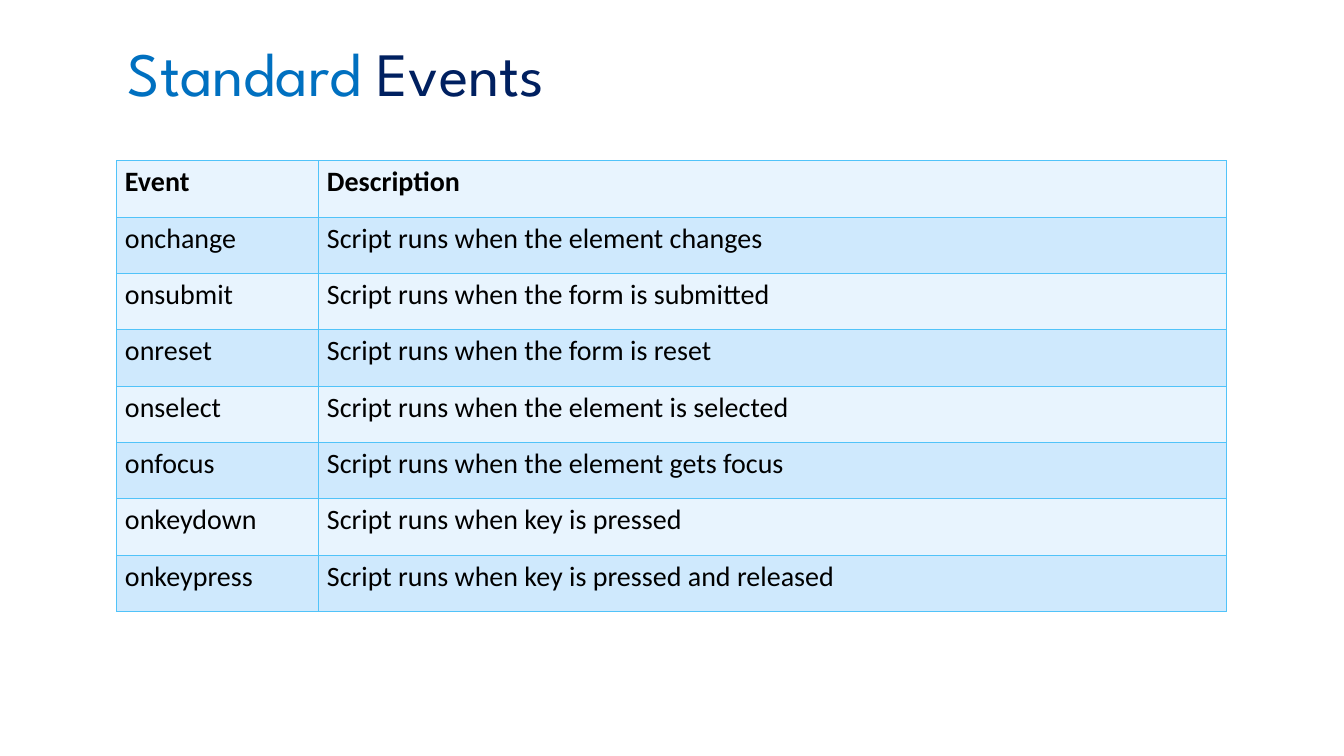
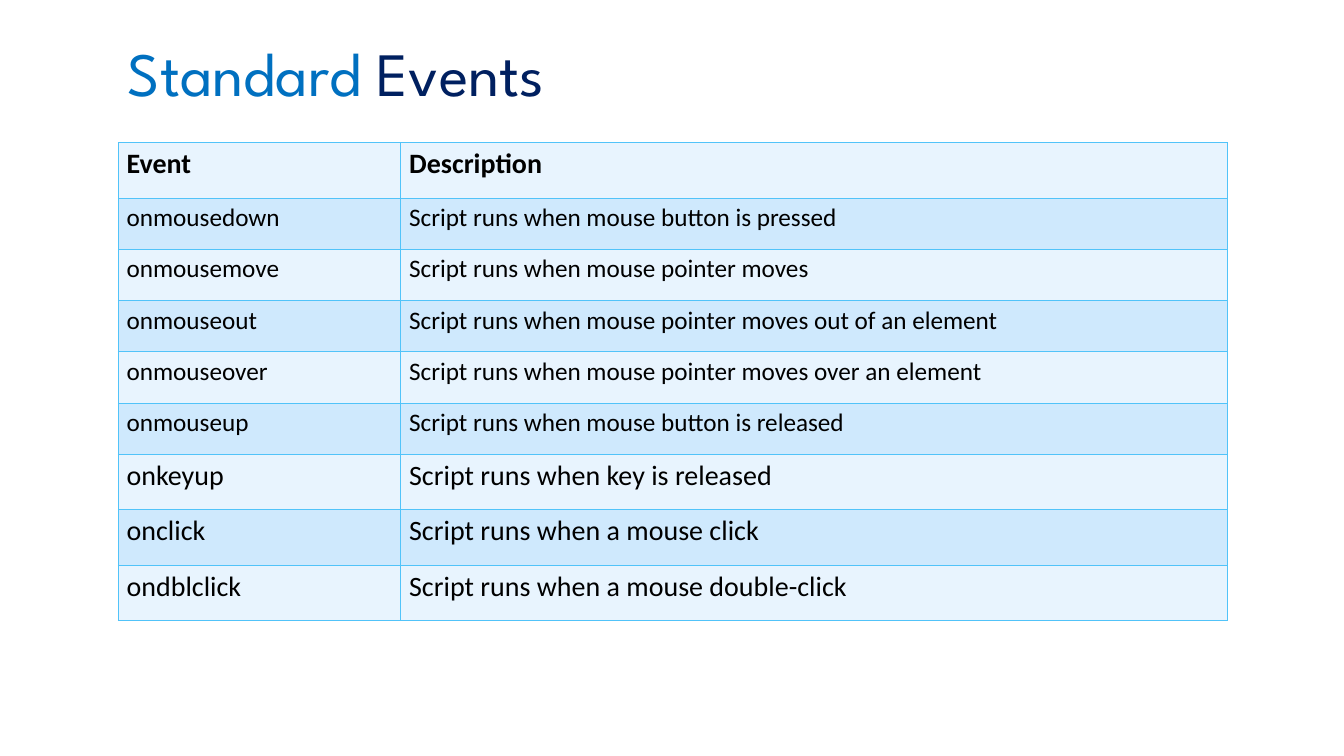
from lxml.etree import SubElement
from pptx import Presentation
from pptx.dml.color import RGBColor
from pptx.enum.text import MSO_ANCHOR, MSO_AUTO_SIZE, PP_ALIGN
from pptx.oxml.ns import qn
from pptx.util import Cm, Pt

TITLE = (("Standard ", "0070C0"), ("Events", "002060"))
TITLE_FONT, BODY_FONT = "League Spartan", "Calibri"
TEXT, BORDER = "000000", "51C3F9"
BANDS = ("E8F4FE", "CFE9FD")
HEADER = ("Event", "Description")

# Lengths in cm; each group of rows shares a text size and a row height.
EVENT_TABLES = [
    {
        "left": 2.94, "top": 4.05, "columns": (5.09, 22.89),
        "groups": [
            (20, 1.42, [
                HEADER,
                ("onchange", "Script runs when the element changes"),
                ("onsubmit", "Script runs when the form is submitted"),
                ("onreset", "Script runs when the form is reset"),
                ("onselect", "Script runs when the element is selected"),
                ("onfocus", "Script runs when the element gets focus"),
                ("onkeydown", "Script runs when key is pressed"),
                ("onkeypress", "Script runs when key is pressed and released"),
            ]),
        ],
    },
    {
        "left": 2.98, "top": 3.6, "columns": (7.12, 20.83),
        "groups": [
            (20, 1.4, [HEADER]),
            (18, 1.29, [
                ("onmousedown", "Script runs when mouse button is pressed"),
                ("onmousemove", "Script runs when mouse pointer moves"),
                ("onmouseout", "Script runs when mouse pointer moves out of an element"),
                ("onmouseover", "Script runs when mouse pointer moves over an element"),
                ("onmouseup", "Script runs when mouse button is released"),
            ]),
            (20, 1.4, [
                ("onkeyup", "Script runs when key is released"),
                ("onclick", "Script runs when a mouse click"),
                ("ondblclick", "Script runs when a mouse double-click"),
            ]),
        ],
    },
]


def rgb(color):
    return RGBColor.from_string(color)


def add_text(paragraph, text, *, font, size, color, bold=False):
    run = paragraph.add_run()
    run.text = text
    run.font.name = font
    run.font.size = Pt(size)
    run.font.color.rgb = rgb(color)
    run.font.bold = bold


def add_title(slide):
    title = slide.shapes.title
    title.left, title.top, title.width, title.height = Cm(2.97), Cm(0.71), Cm(13.74), Cm(2.46)
    frame = title.text_frame
    frame.word_wrap = True
    frame.auto_size = MSO_AUTO_SIZE.NONE
    frame.vertical_anchor = MSO_ANCHOR.MIDDLE
    paragraph = frame.paragraphs[0]
    paragraph.alignment = PP_ALIGN.LEFT
    paragraph.line_spacing = 0.9
    for word, color in TITLE:
        add_text(paragraph, word, font=TITLE_FONT, size=44, color=color)


def set_borders(cell):
    """Draw all four sides; must come before the fill in the cell's XML."""
    properties = cell._tc.get_or_add_tcPr()
    for side in ("a:lnL", "a:lnR", "a:lnT", "a:lnB"):
        line = SubElement(properties, qn(side), w=str(Pt(0.8)))
        fill = SubElement(line, qn("a:solidFill"))
        SubElement(fill, qn("a:srgbClr"), val=BORDER)


def format_cell(cell, text, size, fill, bold):
    set_borders(cell)
    cell.fill.solid()
    cell.fill.fore_color.rgb = rgb(fill)
    cell.margin_left = cell.margin_right = Cm(0.21)
    cell.margin_top = cell.margin_bottom = Cm(0.11)
    add_text(cell.text_frame.paragraphs[0], text,
             font=BODY_FONT, size=size, color=TEXT, bold=bold)


def add_event_table(slide, left, top, columns, groups):
    rows = [(size, height, texts) for size, height, group in groups for texts in group]
    total_height = sum(height for _, height, _ in rows)
    table = slide.shapes.add_table(len(rows), len(columns), Cm(left), Cm(top),
                                   Cm(sum(columns)), Cm(total_height)).table
    table.horz_banding = False
    for column, width in zip(table.columns, columns):
        column.width = Cm(width)
    for index, (size, height, texts) in enumerate(rows):
        row = table.rows[index]
        row.height = Cm(height)
        for cell, text in zip(row.cells, texts):
            format_cell(cell, text, size, BANDS[index % 2], bold=index == 0)


def main():
    prs = Presentation()
    prs.slide_width, prs.slide_height = Cm(33.87), Cm(19.05)
    title_only = prs.slide_layouts[5]
    for event_table in EVENT_TABLES:
        slide = prs.slides.add_slide(title_only)
        add_title(slide)
        add_event_table(slide, **event_table)
    prs.save("out.pptx")


if __name__ == "__main__":
    main()
